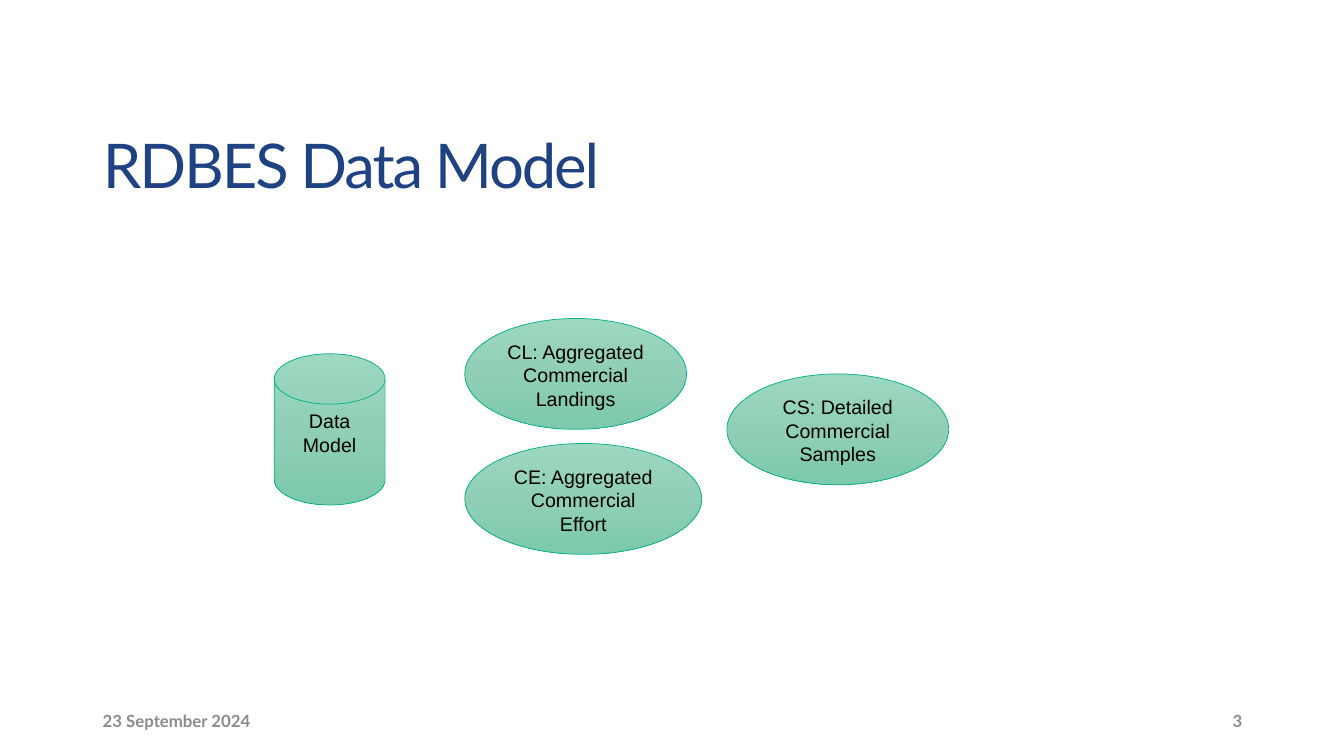
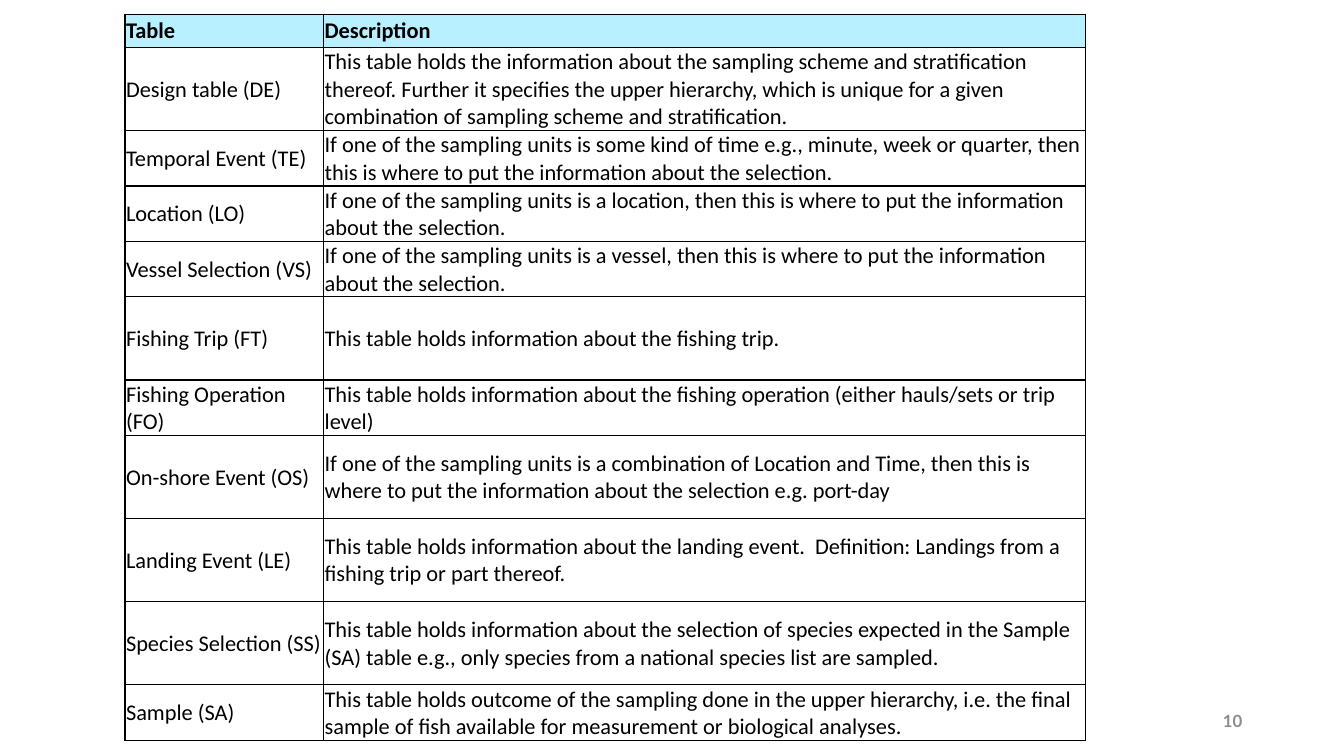
from copy import deepcopy
from dataclasses import dataclass

from lxml.etree import SubElement
from pptx import Presentation
from pptx.dml.color import RGBColor
from pptx.enum.shapes import MSO_SHAPE as Preset
from pptx.enum.text import MSO_ANCHOR as Anchor, MSO_AUTO_SIZE as AutoSize, PP_ALIGN as Align
from pptx.oxml import parse_xml
from pptx.oxml.ns import nsdecls, qn
from pptx.slide import Slide
from pptx.table import _Cell as Cell
from pptx.util import Emu, Inches, Pt

UNIT = Inches(0.1)  # grid cell; the slide is 133.33 columns by 75 rows
MARGIN = 9.2
FOOTER_ROW, FOOTER_COLUMNS, FOOTER_ROWS = 69.5, 30, 4
CONTENT_COLUMNS = 115

NAVY, GREY, BLACK, WHITE = "1F4283", "8C8C8C", "000000", "FFFFFF"
HEADER_BLUE, OUTLINE_GREEN = "B8F0FF", "00B086"
GREENS = ("9DD8C0", "90CFB5", "7CC9AB")
HEADING_FONT, SHAPE_FONT, TABLE_FONT = "Lato", "Arial", "Calibri"

TABLE_LEFT, TABLE_TOP = 12.4, 1.4
COLUMN_WIDTHS = (19.7, 75.6)
HEADER_HEIGHT, LINE_HEIGHT = 3.3, 2.75


@dataclass(frozen=True)
class Area:
    column: float
    row: float
    columns: float
    rows: float

    def lengths(self) -> tuple[Emu, ...]:
        return tuple(grid(n) for n in (self.column, self.row, self.columns, self.rows))


@dataclass(frozen=True)
class Node:
    preset: Preset
    area: Area
    text: str


@dataclass(frozen=True)
class Entry:
    name: str
    description: str
    lines: int = 2


NODES = (
    Node(Preset.FLOWCHART_MAGNETIC_DISK, Area(27.2, 35.1, 11, 15), "Data Model"),
    Node(Preset.OVAL, Area(46.1, 31.6, 22, 11), "CL: Aggregated Commercial Landings"),
    Node(Preset.OVAL, Area(46.1, 44, 23.5, 11), "CE: Aggregated Commercial Effort"),
    Node(Preset.OVAL, Area(72.1, 37.1, 22, 11), "CS: Detailed Commercial Samples"),
)

ENTRIES = (
    Entry("Design table (DE)",
          "This table holds the information about the sampling scheme and stratification thereof. "
          "Further it specifies the upper hierarchy, which is unique for a given combination of "
          "sampling scheme and stratification.", 3),
    Entry("Temporal Event (TE)",
          "If one of the sampling units is some kind of time e.g., minute, week or quarter, then "
          "this is where to put the information about the selection."),
    Entry("Location (LO)",
          "If one of the sampling units is a location, then this is where to put the information "
          "about the selection."),
    Entry("Vessel Selection (VS)",
          "If one of the sampling units is a vessel, then this is where to put the information "
          "about the selection."),
    Entry("Fishing Trip (FT)", "This table holds information about the fishing trip.", 3),
    Entry("Fishing Operation (FO)",
          "This table holds information about the fishing operation (either hauls/sets or trip "
          "level)"),
    Entry("On-shore Event (OS)",
          "If one of the sampling units is a combination of Location and Time, then this is where "
          "to put the information about the selection e.g. port-day", 3),
    Entry("Landing Event (LE)",
          "This table holds information about the landing event.  Definition: Landings from a "
          "fishing trip or part thereof.", 3),
    Entry("Species Selection (SS)",
          "This table holds information about the selection of species expected in the Sample "
          "(SA) table e.g., only species from a national species list are sampled.", 3),
    Entry("Sample (SA)",
          "This table holds outcome of the sampling done in the upper hierarchy, i.e. the final "
          "sample of fish available for measurement or biological analyses."),
)


def grid(cells: float) -> Emu:
    return Emu(round(cells * UNIT))


def color(code: str) -> RGBColor:
    return RGBColor.from_string(code)


def write(frame, text: str, font: str, size: float, code: str, bold: bool = False,
          align: Align = Align.LEFT, anchor: Anchor = Anchor.MIDDLE):
    """Fill a text frame with one formatted paragraph and return it."""
    frame.word_wrap = True
    frame.vertical_anchor = anchor
    para = frame.paragraphs[0]
    para.text = text
    para.alignment = align
    para.font.name = font
    para.font.size = Pt(size)
    para.font.bold = bold
    para.font.color.rgb = color(code)
    return para


def add_title(page: Slide, text: str) -> None:
    title = page.shapes.title
    title.left, title.top, title.width, title.height = Area(
        MARGIN, 9.5, CONTENT_COLUMNS, 14.5).lengths()
    title.text_frame.auto_size = AutoSize.NONE
    para = write(title.text_frame, text, HEADING_FONT, 44, NAVY)
    para.line_spacing = 0.9
    para.runs[0].font._element.set("spc", "-150")


def add_footer(page: Slide, text: str, align: Align) -> None:
    shift = CONTENT_COLUMNS - FOOTER_COLUMNS if align == Align.RIGHT else 0
    area = Area(MARGIN + shift, FOOTER_ROW, FOOTER_COLUMNS, FOOTER_ROWS)
    box = page.shapes.add_textbox(*area.lengths())
    write(box.text_frame, text, HEADING_FONT, 12, GREY, True, align)


def add_node(page: Slide, node: Node) -> None:
    shape = page.shapes.add_shape(node.preset, *node.area.lengths())
    shape.shadow.inherit = False
    shape.line.color.rgb = color(OUTLINE_GREEN)
    shape.line.width = Pt(0.5)
    shape.fill.gradient()
    shape.fill.gradient_angle = 270
    stops = shape._element.spPr.find(".//" + qn("a:gsLst"))
    stops.insert(1, deepcopy(stops[0]))
    for index, (stop, code) in enumerate(zip(shape.fill.gradient_stops, GREENS)):
        stop.color.rgb = color(code)
        stop.position = index / (len(GREENS) - 1)
    write(shape.text_frame, node.text, SHAPE_FONT, 14, BLACK,
          align=Align.CENTER, anchor=Anchor.TOP)


def add_borders(cell: Cell) -> None:
    properties = cell._tc.get_or_add_tcPr()
    for index, side in enumerate("LRTB"):
        line = parse_xml(f'<a:ln{side} {nsdecls("a")} w="{Pt(1)}"/>')
        SubElement(SubElement(line, qn("a:solidFill")), qn("a:srgbClr")).set("val", BLACK)
        properties.insert(index, line)


def fill_cell(cell: Cell, text: str, header: bool) -> None:
    cell.margin_left = cell.margin_right = cell.margin_top = Inches(0.01)
    cell.margin_bottom = 0
    cell.fill.solid()
    cell.fill.fore_color.rgb = color(HEADER_BLUE if header else WHITE)
    write(cell.text_frame, text, TABLE_FONT, 16, BLACK, header)
    cell.vertical_anchor = Anchor.MIDDLE
    add_borders(cell)


def add_entry_table(page: Slide) -> None:
    heights = [HEADER_HEIGHT] + [entry.lines * LINE_HEIGHT for entry in ENTRIES]
    texts = [("Table", "Description")] + [(entry.name, entry.description) for entry in ENTRIES]
    area = Area(TABLE_LEFT, TABLE_TOP, sum(COLUMN_WIDTHS), sum(heights))
    table = page.shapes.add_table(len(texts), len(COLUMN_WIDTHS), *area.lengths()).table
    table.horz_banding = False
    for column, width in zip(table.columns, COLUMN_WIDTHS):
        column.width = grid(width)
    for index, (row, height) in enumerate(zip(table.rows, heights)):
        row.height = grid(height)
        for cell, text in zip(row.cells, texts[index]):
            fill_cell(cell, text, header=index == 0)


def build_model_slide(deck) -> None:
    page = deck.slides.add_slide(deck.slide_layouts.get_by_name("Title Only"))
    add_title(page, "RDBES Data Model")
    add_footer(page, "23 September 2024", Align.LEFT)
    add_footer(page, "3", Align.RIGHT)
    for node in NODES:
        add_node(page, node)


def build_table_slide(deck) -> None:
    page = deck.slides.add_slide(deck.slide_layouts.get_by_name("Blank"))
    add_footer(page, "10", Align.RIGHT)
    add_entry_table(page)


def main() -> None:
    deck = Presentation()
    deck.slide_width, deck.slide_height = Inches(13.33), Inches(7.5)
    build_model_slide(deck)
    build_table_slide(deck)
    deck.save("out.pptx")


if __name__ == "__main__":
    main()
